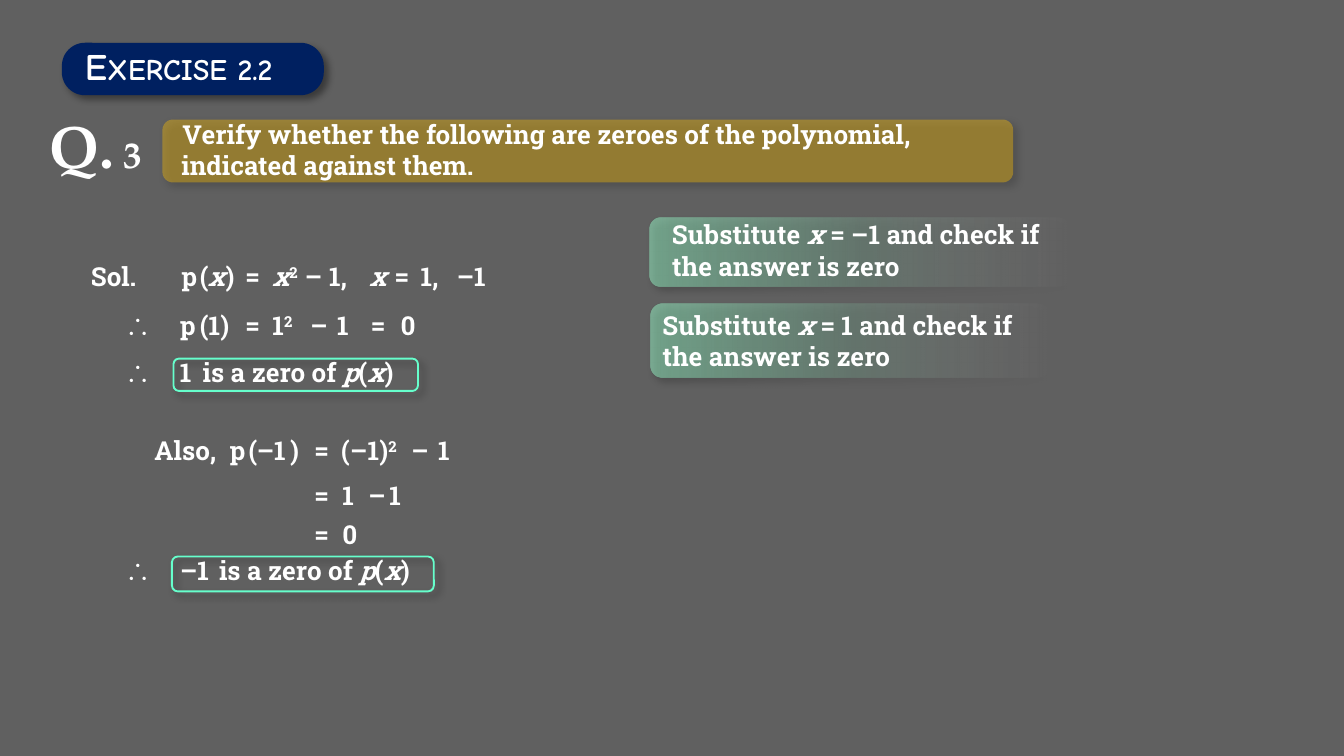
from lxml.etree import SubElement
from pptx import Presentation
from pptx.dml.color import RGBColor
from pptx.enum.shapes import MSO_SHAPE
from pptx.enum.text import MSO_ANCHOR, MSO_AUTO_SIZE, PP_ALIGN
from pptx.oxml.ns import qn
from pptx.util import Cm, Pt

WHITE = "FFFFFF"
MINT = "66FFCC"
ROW_HEIGHT = 0.86
HINT_STOPS = [(0, "99FFCC", 47), (50, "99FFCC", 16), (100, WHITE, 0)]

ZERO_OF = "is a zero of |_p|(|_x|)"
TOKEN_WIDTHS = {
    "p": 0.84, "1": 0.84, "0": 0.84, "(": 0.69, ")": 0.69, "=": 0.81,
    "_x": 0.81, "–": 0.94, "∴": 0.94, "–1": 1.09, "1,": 1.02, "(1)": 1.17,
    "1|^2": 1.07, "_x|^2": 1.04, "(–1)|^2": 1.63, "Sol.": 2.21,
    "Also,": 1.78, ZERO_OF: 4.5,
}
SOLUTION_ROWS = [
    (4.8, [(1.47, "Sol."), (3.18, "p"), (3.53, "("), (3.68, "_x"), (4.01, ")"),
           (4.39, "="), (4.9, "_x|^2"), (5.51, "–"), (5.97, "1,"), (6.73, "_x"),
           (7.21, "="), (7.7, "1,"), (8.38, "–1")]),
    (5.72, [(2.11, "∴"), (3.15, "p"), (3.53, "(1)"), (4.39, "="), (4.9, "1|^2"),
            (5.61, "–"), (6.12, "1"), (6.76, "="), (7.32, "0")]),
    (6.62, [(2.11, "∴"), (3.15, "1"), (3.58, ZERO_OF)]),
    (8.08, [(2.67, "Also,"), (4.09, "p"), (4.45, "("), (4.6, "–1"), (5.23, ")"),
            (5.69, "="), (6.2, "(–1)|^2"), (7.52, "–"), (8.03, "1")]),
    (8.94, [(5.69, "="), (6.22, "1"), (6.71, "–"), (7.11, "1")]),
    (9.68, [(5.69, "="), (6.22, "0")]),
    (10.36, [(2.11, "∴"), (3.15, "–1"), (3.89, ZERO_OF)]),
]


def color(value):
    return RGBColor.from_string(value)


def add_color(parent, value, opacity):
    element = SubElement(parent, qn("a:srgbClr"), val=value)
    SubElement(element, qn("a:alpha"), val=str(opacity * 1000))


class LessonSlide:
    font_name = "Roboto Slab"
    font_size = 14

    def __init__(self, deck):
        self.slide = deck.slides.add_slide(deck.slide_layouts[5])

    def background(self, value):
        fill = self.slide.background.fill
        fill.solid()
        fill.fore_color.rgb = color(value)

    def panel(self, left, top, width, height, fill=None, opacity=100,
              line=None, stops=None, corner=None):
        shape = self.slide.shapes.add_shape(
            MSO_SHAPE.ROUNDED_RECTANGLE, Cm(left), Cm(top), Cm(width), Cm(height))
        if corner:
            shape.adjustments[0] = corner
        properties = shape._element.spPr
        if stops:
            shape.fill.gradient()
            shape.fill.gradient_angle = 0
            stop_list = properties.find(".//" + qn("a:gsLst"))
            stop_list.clear()
            for position, value, alpha in stops:
                stop = SubElement(stop_list, qn("a:gs"), pos=str(position * 1000))
                add_color(stop, value, alpha)
        elif fill:
            shape.fill.solid()
            shape.fill.fore_color.rgb = color(fill)
            if opacity < 100:
                solid = properties.find(".//" + qn("a:srgbClr"))
                SubElement(solid, qn("a:alpha"), val=str(opacity * 1000))
        else:
            shape.fill.background()
        if line:
            shape.line.color.rgb = color(line)
            shape.line.width = Pt(1)
        else:
            shape.line.fill.background()
        shape.shadow.inherit = False
        shadow = SubElement(
            properties.find(qn("a:effectLst")), qn("a:outerShdw"),
            blurRad=str(Pt(4)), dist=str(Pt(3)), dir=str(45 * 60000),
            algn="tl", rotWithShape="0")
        add_color(shadow, "000000", 40)

    def fill_text(self, box, markup, wrap, font_name=None, sizes=None):
        frame = box.text_frame
        frame.word_wrap = wrap
        frame.auto_size = MSO_AUTO_SIZE.SHAPE_TO_FIT_TEXT
        frame.vertical_anchor = MSO_ANCHOR.TOP
        para = frame.paragraphs[0]
        para.alignment = PP_ALIGN.LEFT
        for index, part in enumerate(markup.split("|")):
            span = para.add_run()
            span.text = part.lstrip("_^")
            span.font.name = font_name or self.font_name
            span.font.size = Pt(sizes[index] if sizes else self.font_size)
            span.font.bold = True
            span.font.italic = part.startswith("_")
            span.font.color.rgb = color(WHITE)
            if part.startswith("^"):
                span.font._element.set("baseline", "30000")

    def text(self, left, top, width, height, markup, wrap=True, **style):
        box = self.slide.shapes.add_textbox(Cm(left), Cm(top), Cm(width), Cm(height))
        self.fill_text(box, markup, wrap, **style)

    def title(self, left, top, width, height, markup, **style):
        box = self.slide.shapes.title
        box.left, box.top, box.width, box.height = map(Cm, (left, top, width, height))
        self.fill_text(box, markup, False, **style)
        self.slide.shapes._spTree.append(box._element)

    def equation(self, top, tokens):
        for left, token in tokens:
            font_name = "Arial" if token == "∴" else self.font_name
            self.text(left, top, TOKEN_WIDTHS[token], ROW_HEIGHT, token,
                      wrap=False, font_name=font_name)


def main():
    deck = Presentation()
    deck.slide_width, deck.slide_height = Cm(25.4), Cm(14.29)
    page = LessonSlide(deck)
    page.background("606060")

    page.panel(1.17, 0.81, 4.95, 0.99, fill="002060", corner=0.44)
    page.title(1.35, 0.69, 4.7, 1.12, "E|XERCISE 2.2",
               font_name="Comic Neue", sizes=(20, 16))

    page.text(0.69, 1.93, 2.72, 1.63, "Q.| 3",
              font_name="TeX Gyre Pagella", sizes=(32, 20))
    page.panel(3.07, 2.26, 16.08, 1.19, fill="FFC000", opacity=38)
    page.text(3.2, 2.11, 15.65, ROW_HEIGHT,
              "Verify whether the following are zeroes of the polynomial,")
    page.text(3.18, 2.69, 6.78, ROW_HEIGHT, "indicated against them.")

    page.panel(3.28, 6.78, 4.62, 0.61, line=MINT)
    page.panel(3.25, 10.52, 4.95, 0.66, line=MINT)
    for top, tokens in SOLUTION_ROWS:
        page.equation(top, tokens)

    page.panel(12.29, 5.74, 7.54, 1.4, stops=HINT_STOPS)
    page.text(12.27, 5.72, 7.42, 1.45,
              "Substitute |_x |= 1 and check if the answer is zero")
    page.panel(12.27, 4.11, 7.95, 1.3, stops=HINT_STOPS)
    page.text(12.45, 4.01, 7.77, 1.45,
              "Substitute |_x |= –1 and check if the answer is zero")

    deck.save("out.pptx")


if __name__ == "__main__":
    main()
